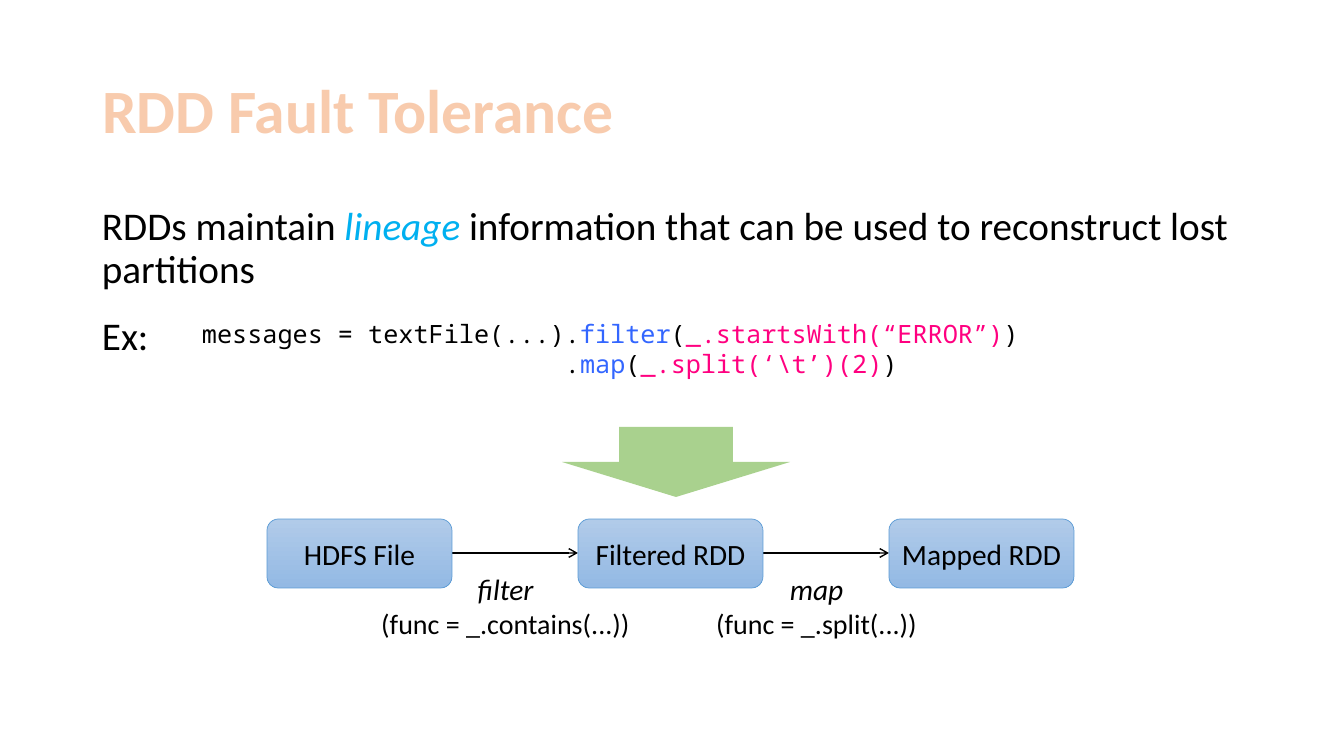
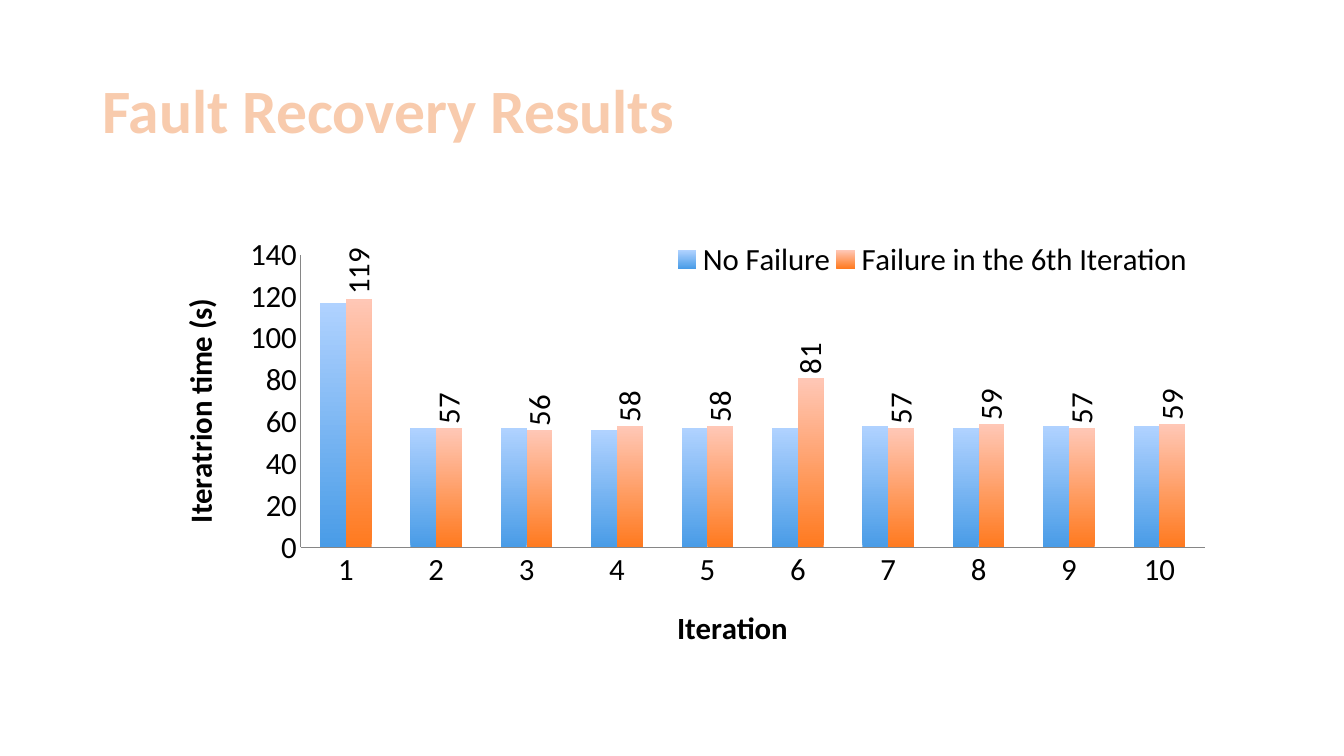
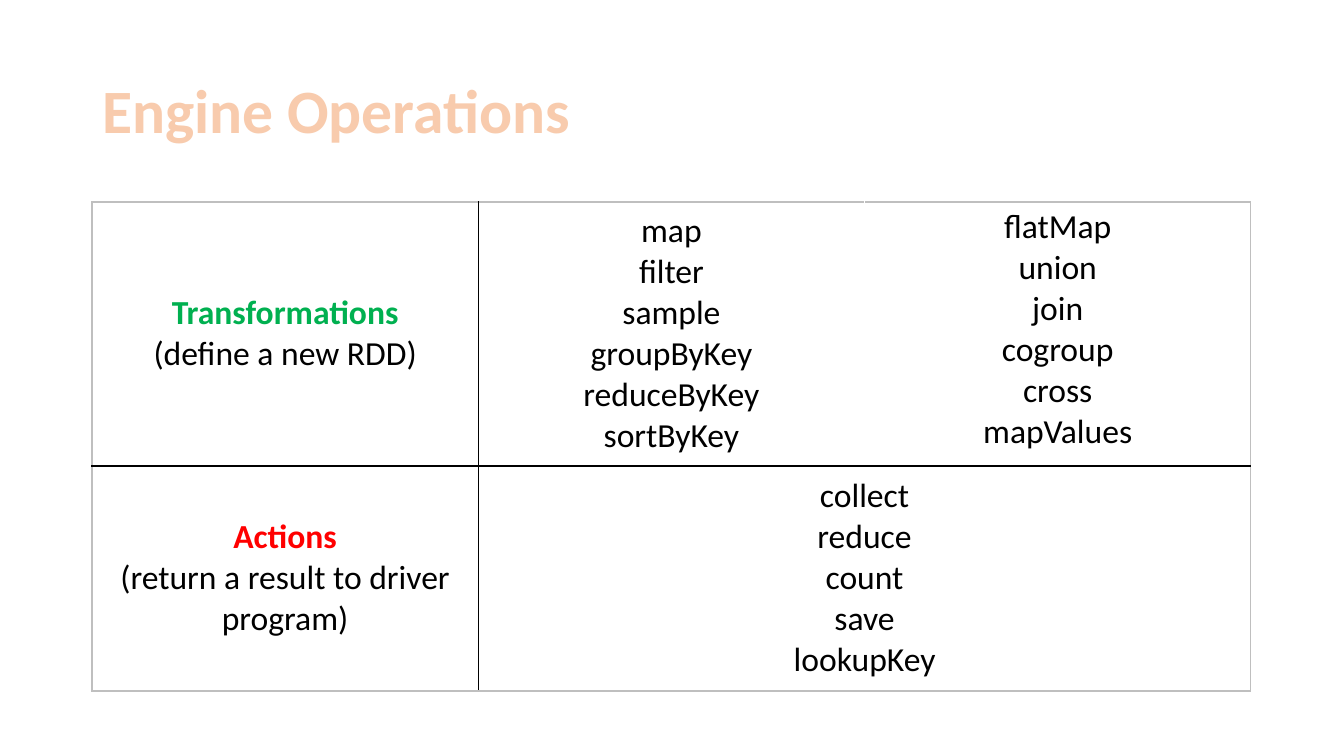
from pptx import Presentation
from pptx.chart.data import CategoryChartData as Data
from pptx.dml.color import RGBColor as Rgb
from pptx.enum.chart import XL_CHART_TYPE as Kind, XL_LEGEND_POSITION as Spot
from pptx.enum.chart import XL_LABEL_POSITION as Place, XL_TICK_MARK as Tick
from pptx.enum.shapes import MSO_CONNECTOR as Link, MSO_SHAPE as Form
from pptx.enum.text import MSO_ANCHOR as Anchor, MSO_AUTO_SIZE as Auto, PP_ALIGN as Align
from pptx.oxml import parse_xml
from pptx.oxml.ns import nsdecls, qn
from pptx.util import Emu, Pt
from lxml.etree import SubElement as Sub

SCALE = 914400 / 100.8
SANS, MONO = "Calibri", "Noto Sans Mono"
HUES = {
    "ink": "000000", "paper": "FFFFFF", "title": "F8CBAD", "term": "00B0F0",
    "call": "3366FF", "func": "FF0080", "node": "B1CBE9", "deep": "93B9E4",
    "edge": "5B9BD5", "arrow": "A9D18E", "good": "00B050", "act": "FF0000",
    "axis": "868686", "frame": "BFBFBF", "blue": "499CE7", "sky": "B0D2FF",
    "fire": "FF7A1F", "rose": "FFC7B6",
}
HEAD = (92, 41, 1159, 146)
BODY = (92, 202, 1159, 480)


def px(num):
    return Emu(round(num * SCALE))


def area(box):
    return [px(num) for num in box]


def hue(name):
    return Rgb.from_string(HUES[name])


def blend(fill, first, last, angle):
    fill.gradient()
    fill.gradient_angle = angle
    for stop, name in zip(fill.gradient_stops, (first, last)):
        stop.color.rgb = hue(name)


def write(frame, paras, size, font=SANS, align=Align.LEFT):
    for i, runs in enumerate(paras):
        para = frame.paragraphs[0] if i == 0 else frame.add_paragraph()
        para.alignment = align
        for text, *look in runs:
            run = para.add_run()
            run.text = text
            face = run.font
            face.name, face.size = font, Pt(size)
            face.color.rgb = hue(look[0] if look else "ink")
            face.bold, face.italic = "bold" in look, "slant" in look
    return frame.paragraphs


def note(slide, box, paras, size, wrap=True, **opts):
    frame = slide.shapes.add_textbox(*area(box)).text_frame
    frame.word_wrap = wrap
    return write(frame, paras, size, **opts)


def start(deck, text):
    slide = deck.slides.add_slide(deck.slide_layouts[5])
    title = slide.shapes.title
    title.left, title.top, title.width, title.height = area(HEAD)
    frame = title.text_frame
    frame.auto_size, frame.vertical_anchor = Auto.NONE, Anchor.MIDDLE
    write(frame, [[(text, "title", "bold")]], 44)[0].line_spacing = 0.9
    return slide


def intro(slide, box):
    left, top, wide, _ = box
    paras = note(slide, box, [
        [("RDDs maintain ",), ("lineage", "term", "slant"),
         (" information that can be used to reconstruct lost partitions",)],
        [("Ex:",)],
    ], 28)
    for para in paras:
        para.line_spacing, para.space_before = 0.9, Pt(18)
    code = note(slide, (left + 100, top + 111, 1024, 72), [
        [("messages = textFile(...).",), ("filter", "call"), ("(",),
         ("_.startsWith(“ERROR”)", "func"), (")",)],
        [(".",), ("map", "call"), ("(",), ("_.split(‘\\t’)(2)", "func"), (")",)],
    ], 18, font=MONO)
    props = code[1]._p.get_or_add_pPr()
    props.set("marL", str(px(363)))
    props.set("indent", "0")


def shape(slide, form, box):
    item = slide.shapes.add_shape(form, *area(box))
    item.shadow.inherit = False
    return item


def node(slide, box, text):
    item = shape(slide, Form.ROUNDED_RECTANGLE, box)
    blend(item.fill, "node", "deep", 270)
    item.line.color.rgb, item.line.width = hue("edge"), Pt(0.5)
    frame = item.text_frame
    frame.margin_left = frame.margin_right = 0
    frame.vertical_anchor = Anchor.MIDDLE
    write(frame, [[(text,)]], 21, align=Align.CENTER)


def join(slide, left, right, y):
    line = slide.shapes.add_connector(Link.STRAIGHT, px(left), px(y), px(right), px(y))
    line.line.color.rgb, line.line.width = hue("ink"), Pt(1)
    Sub(line.line._get_or_add_ln(), qn("a:tailEnd"), type="arrow")
    Sub(line._element.spPr, qn("a:effectLst"))


def flow(slide, box):
    left, top, wide, high = box
    step = (wide - 185) // 2
    steps = [("filter", "(func = _.contains(...))"), ("map", "(func = _.split(...))")]
    for i, (name, func) in enumerate(steps):
        end = left + i * step + 185
        paras = note(slide, (end - 83, top + 47, 273, 80),
                     [[(name, "ink", "slant")], [(func,)]], 21,
                     wrap=False, align=Align.CENTER)
        paras[1].runs[0].font.size = Pt(20)
        join(slide, end, left + (i + 1) * step, top + high // 2)
    for i, text in enumerate(["HDFS File", "Filtered RDD", "Mapped RDD"]):
        node(slide, (left + i * step, top, 185, high), text)
    down = shape(slide, Form.DOWN_ARROW, (left + 295, top - 92, 228, 70))
    down.fill.solid()
    down.fill.fore_color.rgb = hue("arrow")
    down.line.fill.background()


def layout(x, y, size=None, inner=False):
    tags = [("xMode", "edge"), ("yMode", "edge"), ("x", x), ("y", y)]
    if inner:
        tags.insert(0, ("layoutTarget", "inner"))
    if size:
        tags += zip("wh", size)
    body = "".join(f'<c:{tag} val="{val}"/>' for tag, val in tags)
    return parse_xml(f'<c:layout {nsdecls("c")}><c:manualLayout>{body}'
                     "</c:manualLayout></c:layout>")


def pin(item, prior, new):
    for old in item.findall(qn("c:layout")):
        item.remove(old)
    mark = item.find(qn(prior)) if prior else None
    if mark is None:
        item.insert(0, new)
    else:
        mark.addnext(new)


def style(axis, text, x, y):
    axis.has_major_gridlines = False
    axis.major_tick_mark = axis.minor_tick_mark = Tick.NONE
    axis.format.line.color.rgb = hue("axis")
    axis.has_title = True
    write(axis.axis_title.text_frame, [[(text, "ink", "bold")]], 22, align=Align.CENTER)
    pin(axis.axis_title._element, "c:tx", layout(x, y))


def results(slide, box):
    data = Data()
    data.categories = [str(i) for i in range(1, 11)]
    data.add_series("No Failure", [117, 57, 57, 56, 57, 57, 58, 57, 58, 58])
    data.add_series("Failure in the 6th Iteration", [119, 57, 56, 58, 58, 81, 57, 59, 57, 59])
    chart = slide.shapes.add_chart(Kind.COLUMN_CLUSTERED, *area(box), data).chart
    chart.has_title = False
    chart.font.name, chart.font.size = SANS, Pt(22)
    chart.font.color.rgb = hue("ink")
    plot = chart.plots[0]
    plot.gap_width, plot.overlap, plot.vary_by_categories = 150, 0, False
    for bars, tones in zip(plot.series, [("blue", "sky"), ("fire", "rose")]):
        bars.invert_if_negative = False
        blend(bars.format.fill, *tones, 90)
    labels = plot.series[1].data_labels
    labels.show_value, labels.position = True, Place.OUTSIDE_END
    labels.number_format, labels.number_format_is_linked = "#,##0", False
    labels.font.size = Pt(22)
    turn = labels._element.find(qn("c:txPr")).find(qn("a:bodyPr"))
    turn.set("rot", "-5400000")
    turn.set("vert", "horz")
    style(chart.category_axis, "Iteration", 0.5, 0.83)
    style(chart.value_axis, "Iteratrion time (s)", 0.07, 0.19)
    chart.value_axis.minimum_scale, chart.value_axis.maximum_scale = 0, 140
    chart.value_axis.major_unit = 20
    chart.has_legend = True
    key = chart.legend
    key.position, key.include_in_layout = Spot.CORNER, True
    pin(key._element, "c:legendPos", layout(0.5, 0.08, (0.45, 0.08)))
    pin(chart._chartSpace.chart.plotArea, None, layout(0.18, 0.11, (0.78, 0.61), True))


def rule(cell, tones):
    props = cell._tc.get_or_add_tcPr()
    for side, tone in zip("LRTB", tones):
        line = Sub(props, qn(f"a:ln{side}"), w=str(Pt(1)))
        Sub(Sub(line, qn("a:solidFill")), qn("a:srgbClr"), val=HUES[tone])


def column(*names):
    return [[(name,)] for name in names]


def matrix(slide, box):
    rows = [
        [[[("Transformations", "good", "bold")], [("(define a new RDD)",)]],
         column("map", "filter", "sample", "groupByKey", "reduceByKey", "sortByKey"),
         column("flatMap", "union", "join", "cogroup", "cross", "mapValues")],
        [[[("Actions", "act", "bold")], [("(return a result to driver program)",)]],
         column("collect", "reduce", "count", "save", "lookupKey"), []],
    ]
    table = slide.shapes.add_table(2, 3, *area(box)).table
    table.first_row = table.horz_banding = False
    for col in table.columns:
        col.width = px(box[2] / 3)
    for row, high in zip(table.rows, (264, 225)):
        row.height = px(high)
    table.cell(1, 1).merge(table.cell(1, 2))
    sides = ["frame", "ink", "paper", "frame"]
    levels = ["frame", "ink", "frame"]
    for r, row in enumerate(rows):
        for c, paras in enumerate(row):
            cell = table.cell(r, c)
            right = "frame" if cell.is_merge_origin else sides[c + 1]
            rule(cell, (sides[c], right, levels[r], levels[r + 1]))
            cell.fill.background()
            cell.vertical_anchor = Anchor.TOP if (r, c) == (0, 2) else Anchor.MIDDLE
            write(cell.text_frame, paras, 24, align=Align.CENTER)


def main():
    deck = Presentation()
    deck.slide_width, deck.slide_height = px(1344), px(756)
    fault = start(deck, "RDD Fault Tolerance")
    intro(fault, BODY)
    flow(fault, (267, 519, 807, 69))
    results(start(deck, "Fault Recovery Results"), BODY)
    matrix(start(deck, "Engine Operations"), (92, 202, 1159, 489))
    deck.save("out.pptx")


main()
